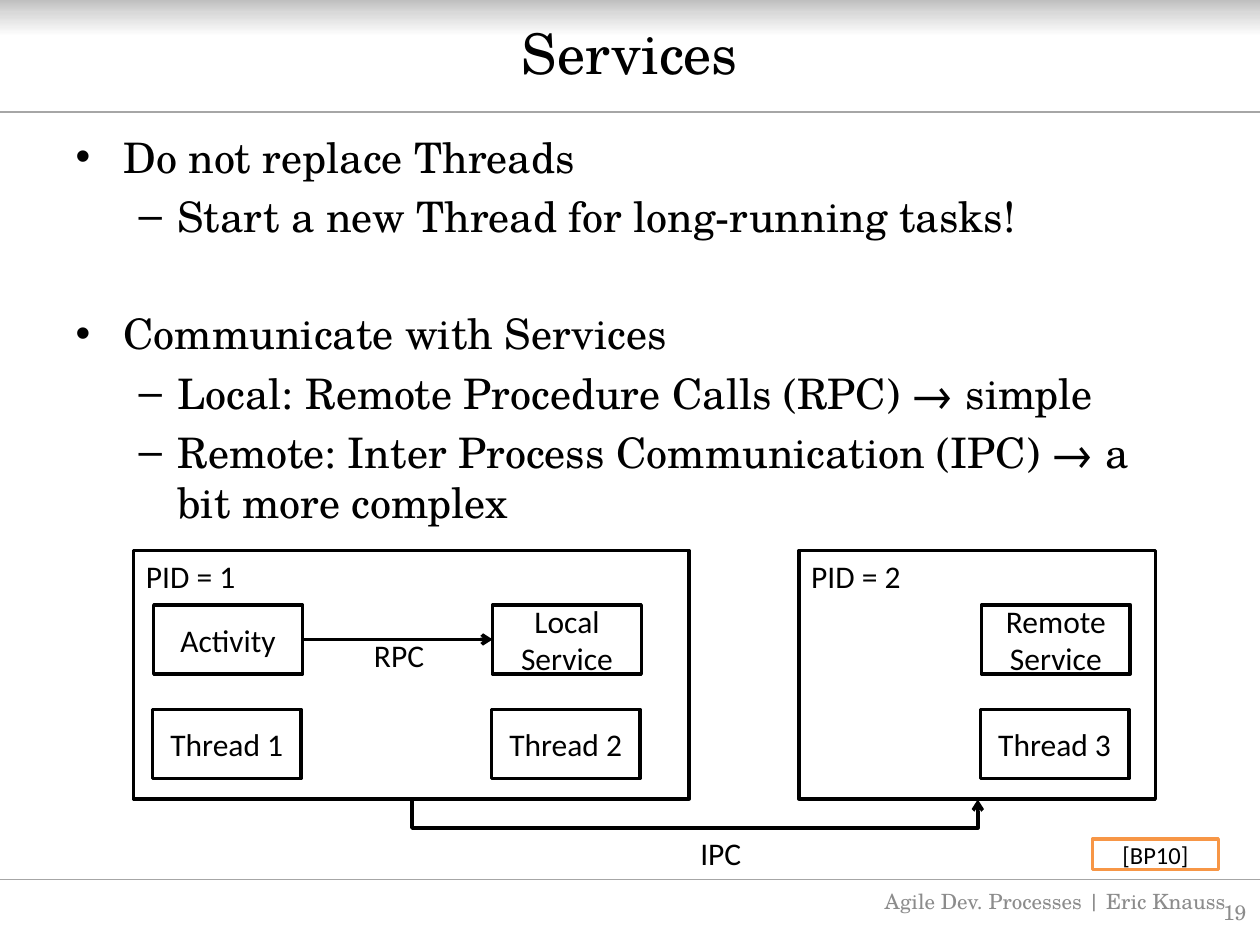
from copy import deepcopy

from lxml import etree
from pptx import Presentation
from pptx.dml.color import RGBColor
from pptx.enum.shapes import MSO_CONNECTOR as CONN, MSO_SHAPE as SHAPE
from pptx.enum.text import MSO_ANCHOR as ANCHOR, MSO_AUTO_SIZE as AUTO, PP_ALIGN as ALIGN
from pptx.oxml.ns import qn
from pptx.util import Inches, Pt

SERIF, SANS = "TeX Gyre Schola", "Calibri"
BLACK, WHITE, GREY, RULE, ORANGE = "000000", "FFFFFF", "8C8C8C", "A6A6A6", "F79646"
BOX_W, BOX_H = 1.18, 0.55
SERVICE_Y, THREAD_Y = 4.8, 5.63
PROCESS_Y, PROCESS_H = 4.37, 1.97
BULLETS = [
    (0, "Do not replace Threads", 0),
    (1, "Start a new Thread for long-running tasks!", 5),
    (0, "Communicate with Services", 38.5),
    (1, "Local: Remote Procedure Calls (RPC) → simple", 5),
    (1, "Remote: Inter Process Communication (IPC) → a bit more complex", 5),
]


def rgb(hex_color):
    """Turn a hex string into a colour."""
    return RGBColor.from_string(hex_color)


def style_text(p, size, font, color=BLACK, align=None):
    """Format a paragraph and its runs."""
    p.alignment = align
    for r in p.runs:
        r.font.size, r.font.name = Pt(size), font
        r.font.color.rgb = rgb(color)


def place(s, left, top, width, height):
    """Position a shape in inches."""
    s.left, s.top, s.width, s.height = map(Inches, (left, top, width, height))


def add_title(slide, text):
    """Fill the title placeholder."""
    s = slide.shapes.title
    place(s, 0.5, 0.03, 9, 0.77)
    tf = s.text_frame
    tf.text = text
    tf.vertical_anchor = ANCHOR.MIDDLE
    tf.auto_size = AUTO.NONE
    style_text(tf.paragraphs[0], 32, SERIF, align=ALIGN.CENTER)


def add_bullets(slide, items):
    """Fill the body placeholder with a two-level list."""
    s = slide.placeholders[1]
    place(s, 0.5, 0.99, 9, 3.54)
    tf = s.text_frame
    tf.text = "\n".join(text for _, text, _ in items)
    tf.auto_size = AUTO.NONE
    for p, (level, _, before) in zip(tf.paragraphs, items):
        margin, indent, char = ((0.38, -0.38, "•"), (0.81, -0.31, "–"))[level]
        p.level = level
        pPr = p._p.get_or_add_pPr()
        pPr.set("marL", str(Inches(margin)))
        pPr.set("indent", str(Inches(indent)))
        etree.SubElement(pPr, qn("a:buChar"), char=char)
        p.space_before = Pt(before)
        style_text(p, 24, SERIF)


def add_band(slide):
    """Put the grey gradient band behind everything at the top."""
    s = slide.shapes.add_shape(SHAPE.RECTANGLE, 0, 0, Inches(10), Inches(0.29))
    s.shadow.inherit = False
    s.line.fill.background()
    s.fill.gradient()
    s.fill.gradient_angle = 270
    stops = s._element.spPr.find(".//" + qn("a:gsLst"))
    stops.insert(1, deepcopy(stops[0]))
    colors = ((0, "BFBFBF"), (0.34, "D9D9D9"), (1, WHITE))
    for stop, (position, color) in zip(s.fill.gradient_stops, colors):
        stop.position = position
        stop.color.rgb = rgb(color)
    slide.shapes._spTree.insert(2, s._element)


def add_box(slide, text, left, top, width=BOX_W, height=BOX_H, size=18,
            line=BLACK, anchor=ANCHOR.MIDDLE, align=ALIGN.CENTER):
    """Add an outlined white box with text."""
    s = slide.shapes.add_shape(SHAPE.RECTANGLE, *map(Inches, (left, top, width, height)))
    s.shadow.inherit = False
    s.fill.solid()
    s.fill.fore_color.rgb = rgb(WHITE)
    s.line.color.rgb = rgb(line)
    s.line.width = Pt(2)
    tf = s.text_frame
    tf.text = text
    tf.word_wrap = True
    tf.vertical_anchor = anchor
    style_text(tf.paragraphs[0], size, SANS, align=align)
    return s


def add_process(slide, text, left, width):
    """Add a process frame with its label at the top left."""
    return add_box(slide, text, left, PROCESS_Y, width, PROCESS_H,
                   anchor=ANCHOR.TOP, align=ALIGN.LEFT)


def add_label(slide, text, left, top, width, size=18, font=SANS, color=BLACK,
              align=ALIGN.LEFT, anchor=ANCHOR.TOP, wrap=False):
    """Add a plain text box."""
    s = slide.shapes.add_textbox(*map(Inches, (left, top, width, 0.4)))
    tf = s.text_frame
    tf.text = text
    tf.word_wrap = wrap
    tf.vertical_anchor = anchor
    style_text(tf.paragraphs[0], size, font, color, align)


def add_line(slide, x1, y1, x2, y2, color=BLACK, width=2, kind=CONN.STRAIGHT, arrow=False):
    """Add a connector, with an arrowhead at its end if wanted."""
    c = slide.shapes.add_connector(kind, *map(Inches, (x1, y1, x2, y2)))
    c.line.color.rgb = rgb(color)
    c.line.width = Pt(width)
    if arrow:
        etree.SubElement(c.line._get_or_add_ln(), qn("a:tailEnd"), type="arrow")
    etree.SubElement(c._element.spPr, qn("a:effectLst"))
    return c


def add_u_arrow(slide, x1, x2, y, depth):
    """Add an elbow arrow that dips below y between x1 and x2."""
    span, mid, thin = x2 - x1, (x1 + x2) / 2, 0.01
    c = add_line(slide, mid - thin / 2, y - span / 2, mid + thin / 2, y + span / 2,
                 kind=CONN.ELBOW, arrow=True)
    xfrm = c._element.spPr.find(qn("a:xfrm"))
    xfrm.set("rot", "16200000")
    xfrm.set("flipH", "1")
    guides = c._element.spPr.find(qn("a:prstGeom")).get_or_add_avLst()
    ratio = round(depth / thin * 100000)
    etree.SubElement(guides, qn("a:gd"), name="adj1", fmla=f"val {ratio}")


def main():
    """Build the slide about services."""
    prs = Presentation()
    prs.slide_width, prs.slide_height = Inches(10), Inches(7.5)
    slide = prs.slides.add_slide(prs.slide_layouts[1])
    add_band(slide)
    for y in (0.89, 6.98):
        add_line(slide, 0, y, 10, y, RULE, 0.75)
    add_title(slide, "Services")
    add_bullets(slide, BULLETS)

    add_process(slide, "PID = 1", 1.06, 4.41)
    add_process(slide, "PID = 2", 6.34, 2.83)
    activity = add_box(slide, "Activity", 1.22, SERVICE_Y)
    local = add_box(slide, "Local Service", 3.91, SERVICE_Y)
    add_box(slide, "Remote\vService", 7.79, SERVICE_Y)
    for number, left in enumerate((1.21, 3.9, 7.78), 1):
        add_box(slide, f"Thread {number}", left, THREAD_Y)

    rpc = add_line(slide, 2.4, 5.08, 3.91, 5.08, arrow=True)
    rpc.begin_connect(activity, 3)
    rpc.end_connect(local, 1)
    add_u_arrow(slide, 3.27, 7.76, PROCESS_Y + PROCESS_H, 0.24)
    add_label(slide, "RPC", 2.87, 5, 0.6)
    add_label(slide, "IPC", 5.46, 6.57, 0.53)

    source = add_box(slide, "[BP10]", 8.67, 6.66, 1, 0.24, size=14, line=ORANGE)
    source.text_frame.margin_left = source.text_frame.margin_right = 0
    footer = dict(size=12, font=SERIF, color=GREY, anchor=ANCHOR.MIDDLE, wrap=True)
    add_label(slide, "Agile Dev. Processes | Eric Knauss", 6.79, 6.95, 3.17,
              align=ALIGN.CENTER, **footer)
    add_label(slide, "19", 9.07, 7.04, 0.92, align=ALIGN.RIGHT, **footer)
    prs.save("out.pptx")


if __name__ == "__main__":
    main()
